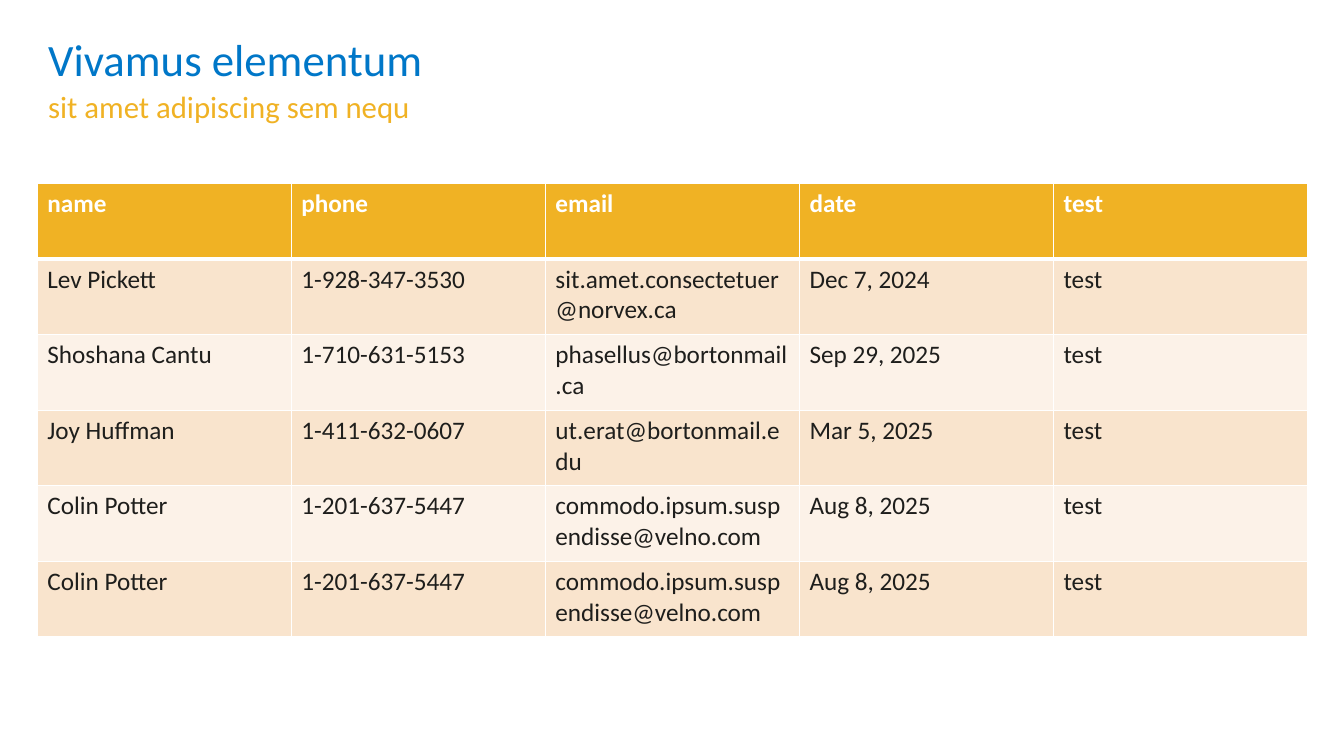
from lxml import etree
from pptx import Presentation
from pptx import util as u
from pptx.dml.color import RGBColor
from pptx.enum import text
from pptx.oxml import ns

TITLE = "Vivamus elementum"
SUBTITLE = "sit amet adipiscing sem nequ"
CONTACTS = [
    ("name", "phone", "email", "date", "test"),
    ("Lev Pickett", "1-928-347-3530", "sit.amet.consectetuer@norvex.ca", "Dec 7, 2024", "test"),
    ("Shoshana Cantu", "1-710-631-5153", "phasellus@bortonmail.ca", "Sep 29, 2025", "test"),
    ("Joy Huffman", "1-411-632-0607", "ut.erat@bortonmail.edu", "Mar 5, 2025", "test"),
    ("Colin Potter", "1-201-637-5447", "commodo.ipsum.suspendisse@velno.com", "Aug 8, 2025", "test"),
    ("Colin Potter", "1-201-637-5447", "commodo.ipsum.suspendisse@velno.com", "Aug 8, 2025", "test"),
]
COLORS = {
    "blue": "0077C8",
    "gold": "F0B224",
    "ink": "1E1E1C",
    "white": "FFFFFF",
    "sand": "F9E4CD",
    "cream": "FCF2E8",
}
FONT = "Calibri"
PX = 9144
SLIDE_WIDTH, SLIDE_HEIGHT = 1333, 750
TABLE_LEFT, TABLE_TOP = 37, 182
COLUMN_WIDTH, ROW_HEIGHT = 252, 75


def px(*lengths):
    return [u.Emu(length * PX) for length in lengths]


def write(frame, words, size, color, bold=False, line_spacing=None):
    paragraph = frame.paragraphs[0]
    paragraph.line_spacing = line_spacing
    run = paragraph.add_run()
    run.text = words
    run.font.name = FONT
    run.font.size = u.Pt(size)
    run.font.bold = bold
    run.font.color.rgb = RGBColor.from_string(COLORS[color])


def add_heading(slide, box, words, size, color, anchor):
    frame = slide.shapes.add_textbox(*px(*box)).text_frame
    frame.word_wrap = True
    frame.vertical_anchor = anchor
    write(frame, words, size, color, line_spacing=0.9)


def add_borders(cell, widths):
    properties = cell._tc.get_or_add_tcPr()
    for side, width in widths.items():
        line = etree.SubElement(properties, ns.qn(f"a:ln{side}"), w=str(u.Pt(width)))
        fill = etree.SubElement(line, ns.qn("a:solidFill"))
        etree.SubElement(fill, ns.qn("a:srgbClr"), val=COLORS["white"])


def add_contacts(slide):
    row_count, column_count = len(CONTACTS), len(CONTACTS[0])
    box = (TABLE_LEFT, TABLE_TOP, column_count * COLUMN_WIDTH, row_count * ROW_HEIGHT)
    table = slide.shapes.add_table(row_count, column_count, *px(*box)).table
    table.horz_banding = False
    for row, contact in enumerate(CONTACTS):
        header = row == 0
        background = "gold" if header else "sand" if row % 2 else "cream"
        for column, words in enumerate(contact):
            cell = table.cell(row, column)
            add_borders(cell, {"L": 1, "R": 1, "T": 3 if row == 1 else 1, "B": 3 if header else 1})
            cell.fill.solid()
            cell.fill.fore_color.rgb = RGBColor.from_string(COLORS[background])
            write(cell.text_frame, words, 18, "white" if header else "ink", bold=header)


def main():
    presentation = Presentation()
    presentation.slide_width, presentation.slide_height = px(SLIDE_WIDTH, SLIDE_HEIGHT)
    slide = presentation.slides.add_slide(presentation.slide_layouts[6])
    add_heading(slide, (38, 38, 1073, 47), TITLE, 32, "blue", text.MSO_ANCHOR.MIDDLE)
    add_heading(slide, (38, 86, 1073, 48), SUBTITLE, 22, "gold", text.MSO_ANCHOR.TOP)
    add_contacts(slide)
    presentation.save("out.pptx")


if __name__ == "__main__":
    main()
